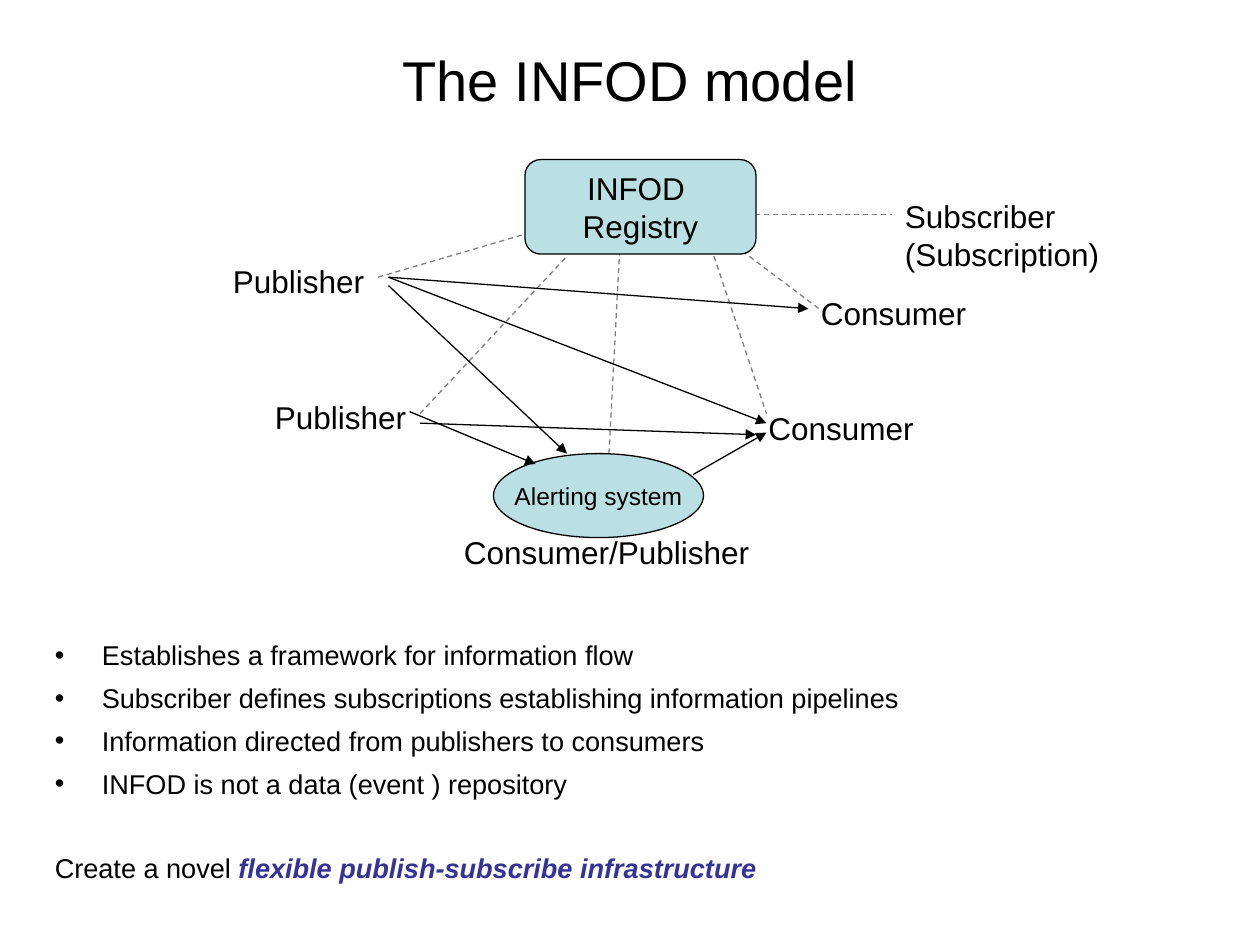
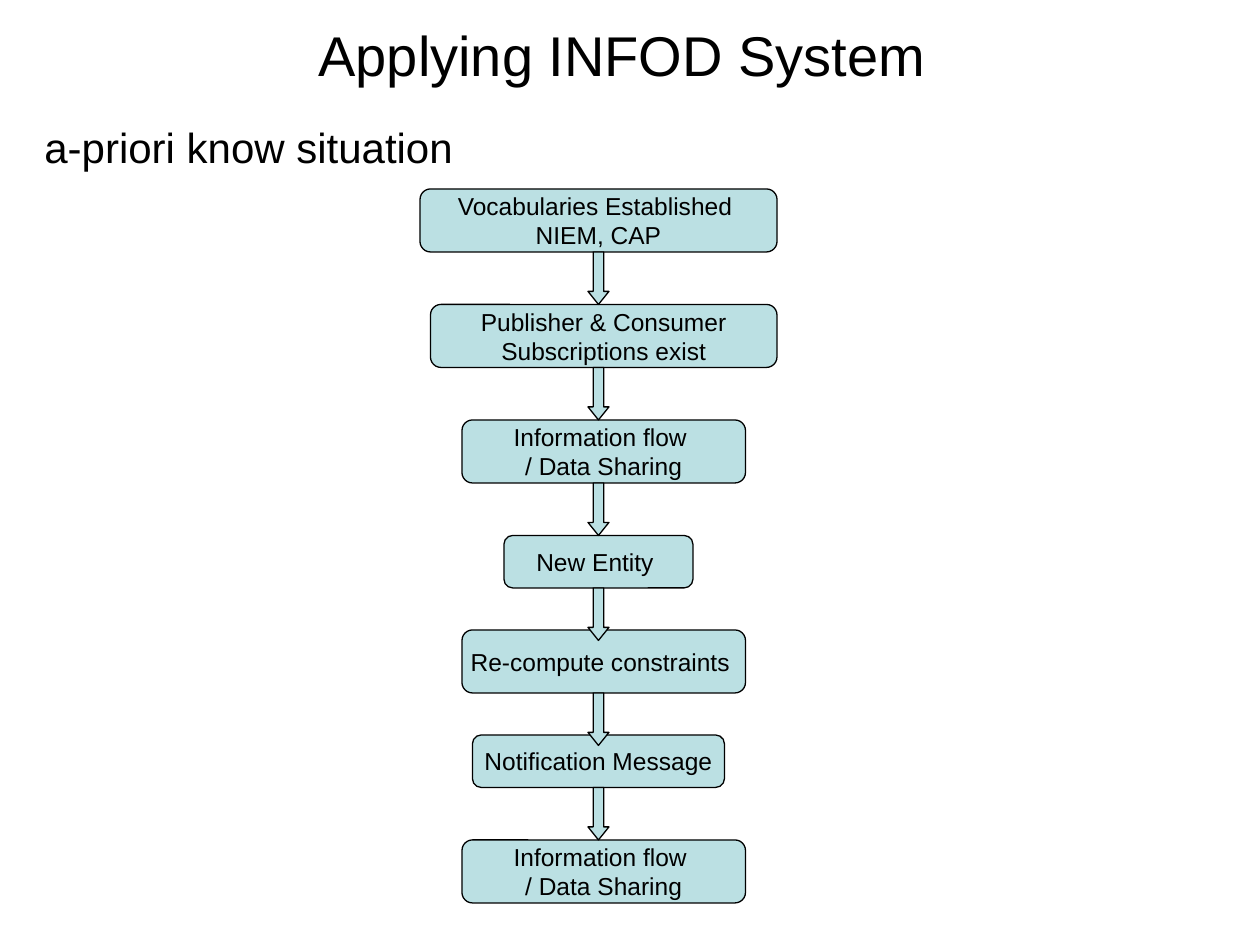
from lxml import etree
from pptx import Presentation
from pptx.dml.color import RGBColor
from pptx.enum.dml import MSO_LINE_DASH_STYLE as Dash
from pptx.enum.shapes import MSO_CONNECTOR as Connector, MSO_SHAPE as Shape
from pptx.enum.text import MSO_ANCHOR as Anchor, MSO_AUTO_SIZE as AutoSize, PP_ALIGN as Align
from pptx.oxml.ns import qn
from pptx.util import Cm, Pt

COLORS = {"text": "000000", "line": "000000", "link": "808080",
          "fill": "BBE0E3", "accent": "333399"}
FONT = "Arial"
LINE_WIDTH = 0.75
HANGING = 0.95  # cm
GRID = 2.54 / 12  # cm per drawing unit


def color(name):
    return RGBColor.from_string(COLORS[name])


def grid(*units):
    return [Cm(unit * GRID) for unit in units]


# Text
def add_span(para, text, size=18, tint="text", bold=False, italic=False):
    span = para.add_run()
    span.text = text
    font = span.font
    font.name, font.size, font.bold, font.italic = FONT, Pt(size), bold, italic
    font.color.rgb = color(tint)


def add_text(frame, text, align=Align.LEFT, anchor=Anchor.TOP, wrap=True, **style):
    frame.word_wrap = wrap
    frame.auto_size = AutoSize.NONE
    frame.vertical_anchor = anchor
    for index, line in enumerate(text.split("\n")):
        para = frame.add_paragraph() if index else frame.paragraphs[0]
        para.alignment = align
        add_span(para, line, **style)


def hang(para, bullet):
    properties = para._p.get_or_add_pPr()
    properties.set("marL", str(Cm(HANGING)))
    properties.set("indent", str(-Cm(HANGING)))
    if not bullet:
        etree.SubElement(properties, qn("a:buNone"))


# Shapes and lines
def place(shape, box):
    shape.left, shape.top, shape.width, shape.height = [Cm(value) for value in box]


def add_figure(page, kind, left, top, width, height, text="", size=14):
    shape = page.shapes.add_shape(kind, *grid(left, top, width, height))
    shape.shadow.inherit = False
    shape.fill.solid()
    shape.fill.fore_color.rgb = color("fill")
    shape.line.color.rgb = color("line")
    shape.line.width = Pt(LINE_WIDTH)
    if text:
        add_text(shape.text_frame, text, Align.CENTER, Anchor.MIDDLE, wrap=False, size=size)
    return shape


def add_line(page, start, end, arrow=False):
    line = page.shapes.add_connector(Connector.STRAIGHT, *grid(*start, *end))
    line.line.width = Pt(LINE_WIDTH)
    line.line.color.rgb = color("line" if arrow else "link")
    if arrow:
        tail = etree.SubElement(line.line._get_or_add_ln(), qn("a:tailEnd"))
        tail.set("type", "triangle")
    else:
        line.line.dash_style = Dash.DASH
    etree.SubElement(line._element.spPr, qn("a:effectLst"))


# Page with a title and a body
def add_page(deck, title, title_height, body_box):
    page = deck.slides.add_slide(deck.slide_layouts[1])
    place(page.shapes.title, (1.27, 0, 22.86, title_height))
    add_text(page.shapes.title.text_frame, title, Align.CENTER, Anchor.MIDDLE, size=32)
    body = page.placeholders[1]
    place(body, body_box)
    return page, body.text_frame


def fill_list(frame, items, closing, size=15.5, gap=5.8):
    add_text(frame, "\n".join(items), size=size)
    for index, para in enumerate(frame.paragraphs):
        hang(para, bullet=True)
        para.space_before = Pt(gap if index else 0)
    para = frame.add_paragraph()
    hang(para, bullet=False)
    para.space_before = Pt(29.4)
    plain, stressed = closing
    add_span(para, plain, size=size)
    add_span(para, stressed, size=size, tint="accent", bold=True, italic=True)


# Diagram of publishers, registry and consumers, in grid units
def draw_model(page, left, top):
    def shift(point):
        return left + point[0], top + point[1]

    labels = [("Publisher", 0, 9.4, 19), ("Publisher", 4, 22.3, 19),
              ("Consumer", 56, 12.4, 19), ("Consumer", 51, 23.4, 19),
              ("Subscriber (Subscription)", 64, 3.2, 21),
              ("Consumer/Publisher", 22, 35.2, 31)]
    links = [((15, 11.4), (29, 7.3)), ((19, 24.4), (33, 9.4)),
             ((49, 8.4), (57, 14.4)), ((47, 9.4), (52, 24.4)),
             ((50, 5.4), (64, 5.4)), ((37, 28.2), (38, 9.2))]
    flows = [((16, 11.4), (56, 14.4)), ((16, 11.4), (52, 25.3)),
             ((19, 25.3), (51, 26.4)), ((18, 24.2), (30, 29.2)),
             ((45, 30.2), (52, 26.2)), ((16, 12.2), (33, 28.2))]
    for text, x, y, width in labels:
        height = 8.4 if " " in text else 4.8
        label = page.shapes.add_textbox(*grid(*shift((x, y)), width, height))
        add_text(label.text_frame, text)
    for start, end in links:
        add_line(page, shift(start), shift(end))
    add_figure(page, Shape.OVAL, *shift((26, 28.2)), 20, 8, "Alerting system")
    for start, end in flows:
        add_line(page, shift(start), shift(end), arrow=True)
    add_figure(page, Shape.ROUNDED_RECTANGLE, *shift((29, 0.2)), 22, 9,
               "INFOD \nRegistry", size=18)


# Chain of steps joined by block arrows, in grid units
def draw_chain(page, left, top):
    sharing = "Information flow \n/ Data Sharing"
    steps = [("Vocabularies Established \nNIEM, CAP", 0, 0, 34, 6),
             ("Publisher & Consumer\nSubscriptions exist", 1, 11, 33, 6),
             (sharing, 4, 22, 27, 6),
             ("New Entity ", 8, 33, 18, 5),
             ("Re-compute constraints ", 4, 42, 27, 6),
             ("Notification Message", 5, 52, 24, 5),
             (sharing, 4, 62, 27, 6)]
    for text, x, y, width, height in steps:
        add_figure(page, Shape.ROUNDED_RECTANGLE, left + x, top + y, width, height, text)
    for _, _, y, _, height in steps[:-1]:
        arrow = add_figure(page, Shape.DOWN_ARROW, left + 16, top + y + height, 2, 5)
        arrow.adjustments[0], arrow.adjustments[1] = 0.5, 0.62


def build_model_page(deck):
    page, body = add_page(deck, "The INFOD model", 3.18, (0.85, 12.75, 22.86, 5.08))
    fill_list(body, ["Establishes a framework for information flow",
                     "Subscriber defines subscriptions establishing information pipelines",
                     "Information directed from publishers to consumers",
                     "INFOD is not a data (event ) repository"],
              ("Create a novel", " flexible publish-subscribe infrastructure"))
    draw_model(page, left=21, top=15)


def build_chain_page(deck):
    page, body = add_page(deck, "Applying INFOD System ", 2.2, (0.64, 2.33, 22.86, 14.05))
    add_text(body, "a-priori know situation", size=24)
    hang(body.paragraphs[0], bullet=False)
    body.paragraphs[0].space_before = Pt(0)
    draw_chain(page, left=40, top=18)


def main():
    deck = Presentation()
    deck.slide_width, deck.slide_height = Cm(25.4), Cm(19.05)
    build_model_page(deck)
    build_chain_page(deck)
    deck.save("out.pptx")


if __name__ == "__main__":
    main()
